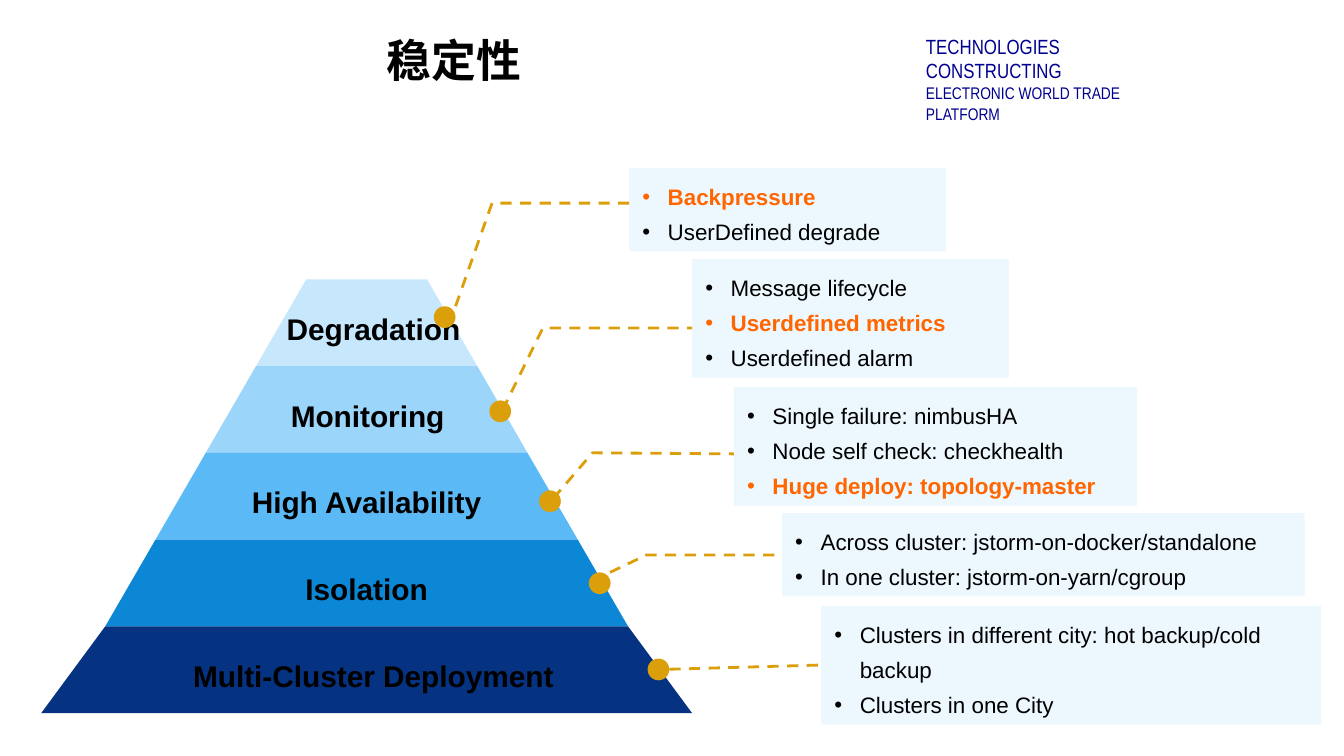
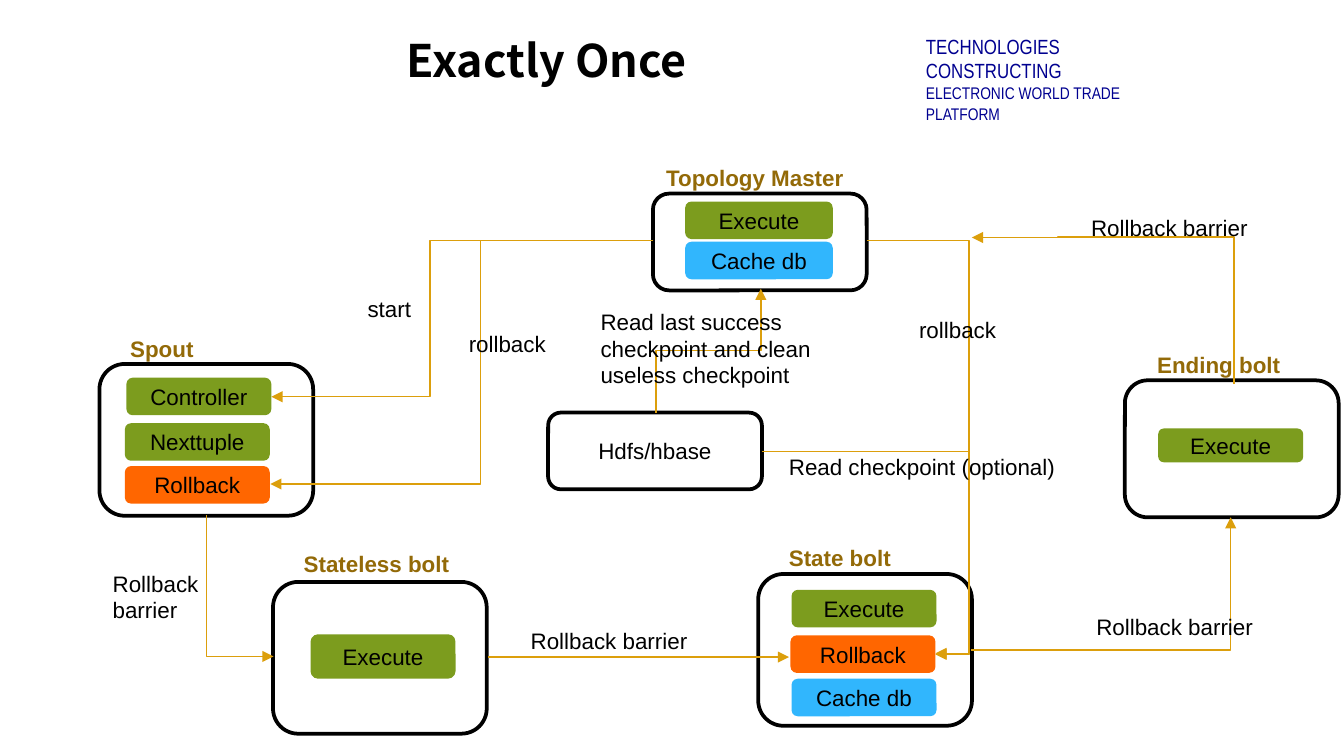
from dataclasses import dataclass

from lxml import etree
from pptx import Presentation
from pptx import util as u
from pptx.dml.color import RGBColor
from pptx.enum import dml, shapes, text
from pptx.oxml.ns import qn


@dataclass(frozen=True)
class Theme:
    black: str = "000000"
    white: str = "FFFFFF"
    navy: str = "000090"
    gold: str = "DC9F0C"
    brown: str = "936A08"
    orange: str = "FF6600"
    green: str = "7C9C1E"
    blue: str = "31B6FD"
    pale: str = "C6E7FC"
    layers: tuple = ("C6E7FC", "9BD5FA", "5BBAF6", "0B87D6", "053281")
    font: str = "Arial"
    header_font: str = "Arial Narrow"
    title_font: str = "Noto Sans CJK SC"
    title: int = 24
    layer: int = 16
    body: int = 12
    header: int = 11
    subheader: int = 9


th = Theme()
LEFT, CENTER, RIGHT = text.PP_ALIGN.LEFT, text.PP_ALIGN.CENTER, text.PP_ALIGN.RIGHT
TOP, MIDDLE = text.MSO_ANCHOR.TOP, text.MSO_ANCHOR.MIDDLE
RECT, ROUND, OVAL = (shapes.MSO_SHAPE.RECTANGLE, shapes.MSO_SHAPE.ROUNDED_RECTANGLE,
                     shapes.MSO_SHAPE.OVAL)


def add_box(s, kind, box, fill=None, opacity=100, line=None):
    box = [u.Cm(v) for v in box]
    if kind is None:
        return s.shapes.add_textbox(*box)
    sp = s.shapes.add_shape(kind, *box)
    sp.shadow.inherit = False
    sp.fill.solid()
    sp.fill.fore_color.rgb = RGBColor.from_string(fill)
    if opacity < 100:
        color = sp._element.spPr.find(qn("a:solidFill")).find(qn("a:srgbClr"))
        etree.SubElement(color, qn("a:alpha")).set("val", str(opacity * 1000))
    if line:
        sp.line.color.rgb = RGBColor.from_string(line)
        sp.line.width = u.Pt(2)
    else:
        sp.line.fill.background()
    return sp


def write(sp, words, size=th.body, color=th.black, bold=False, font=th.font,
          align=LEFT, anchor=TOP, bullet=False, inset=(0.25, 0.13)):
    tf = sp.text_frame
    tf.word_wrap = True
    tf.vertical_anchor = anchor
    tf.margin_left = tf.margin_right = u.Cm(inset[0])
    tf.margin_top = tf.margin_bottom = u.Cm(inset[1])
    p = tf.paragraphs[0]
    if p.runs:
        p = tf.add_paragraph()
    p.alignment = align
    if bullet:
        p.line_spacing = 1.3
        pPr = p._p.get_or_add_pPr()
        pPr.set("marL", str(u.Cm(0.48)))
        pPr.set("indent", str(-u.Cm(0.48)))
        etree.SubElement(pPr, qn("a:buFont")).set("typeface", th.font)
        etree.SubElement(pPr, qn("a:buChar")).set("char", "•")
    r = p.add_run()
    r.text = words
    r.font.name = font
    r.font.size = u.Pt(size)
    r.font.bold = bold
    r.font.color.rgb = RGBColor.from_string(color)
    etree.SubElement(r._r.get_or_add_rPr(), qn("a:ea")).set("typeface", font)


prs = Presentation()
prs.slide_width, prs.slide_height = u.Cm(25.4), u.Cm(14.29)

slides = []
for title, left, width in [("稳定性", 7.06, 6.91), ("Exactly Once", 7.44, 22.86)]:
    s = prs.slides.add_slide(prs.slide_layouts[6])
    sp = add_box(s, None, (17.25, 0.51, 5.16, 1.12))
    write(sp, "TECHNOLOGIES CONSTRUCTING", size=th.header, color=th.navy, font=th.header_font)
    write(sp, "ELECTRONIC WORLD TRADE PLATFORM", size=th.subheader, color=th.navy,
          font=th.header_font)
    sp = add_box(s, None, (left, 0.46, width, 1.32))
    write(sp, title, size=th.title, bold=True, font=th.title_font, anchor=MIDDLE)
    slides.append(s)
stability, once = slides

axis, apex, layer_h = 6.93, 5.28, 1.64
halves = [1.14 + 0.95 * i for i in range(5)]
bottoms = halves[1:] + [6.15]
layers = [
    ("Degradation", 7.06, 4.62),
    ("Monitoring", 6.95, 3.73),
    ("High Availability", axis, 4.88),
    ("Isolation", axis, 4.88),
    ("Multi-Cluster Deployment", 7.06, 8.69),
]
for i, (name, mid, width) in enumerate(layers):
    y = apex + layer_h * i
    outline = [(axis - halves[i], y), (axis + halves[i], y),
               (axis + bottoms[i], y + layer_h), (axis - bottoms[i], y + layer_h)]
    points = [(u.Cm(px), u.Cm(py)) for px, py in outline]
    builder = stability.shapes.build_freeform(*points[0])
    builder.add_line_segments(points[1:], close=True)
    sp = builder.convert_to_shape()
    sp.shadow.inherit = False
    sp.fill.solid()
    sp.fill.fore_color.rgb = RGBColor.from_string(th.layers[i])
    sp.line.fill.background()
    sp = add_box(stability, None, (mid - width / 2, y + 0.51, width, 0.86))
    write(sp, name, size=th.layer, bold=True, align=CENTER, inset=(0.18, 0.08))

callouts = [
    ((8.2, 5.79), [(8.61, 5.79), (9.3, 3.84), (11.89, 3.84)], (11.89, 3.18, 5.99, 1.57),
     ["Backpressure", "UserDefined degrade"], 0),
    ((9.25, 7.57), [(9.5, 7.75), (10.26, 6.2), (13.08, 6.2)], (13.08, 4.9, 5.99, 2.24),
     ["Message lifecycle", "Userdefined metrics", "Userdefined alarm"], 1),
    ((10.19, 9.27), [(10.46, 9.42), (11.2, 8.56), (13.87, 8.58)], (13.87, 7.32, 7.62, 2.24),
     ["Single failure: nimbusHA", "Node self check: checkhealth",
      "Huge deploy: topology-master"], 2),
    ((11.13, 10.82), [(11.53, 10.82), (12.22, 10.49), (14.78, 10.49)], (14.78, 9.7, 9.88, 1.57),
     ["Across cluster: jstorm-on-docker/standalone",
      "In one cluster: jstorm-on-yarn/cgroup"], None),
    ((12.24, 12.45), [(12.65, 12.65), (15.52, 12.57)], (15.52, 11.46, 9.45, 2.24),
     ["Clusters in different city: hot backup/cold backup", "Clusters in one City"], None),
]
for dot, leader, box, items, hot in callouts:
    add_box(stability, OVAL, (*dot, 0.41, 0.41), fill=th.gold)
    sp = add_box(stability, RECT, box, fill=th.pale, opacity=31)
    for i, item in enumerate(items):
        write(sp, item, bullet=True, bold=i == hot, color=th.orange if i == hot else th.black)
    points = [(u.Cm(px), u.Cm(py)) for px, py in leader]
    if len(points) == 2:
        sp = stability.shapes.add_connector(shapes.MSO_CONNECTOR.STRAIGHT, *points[0], *points[1])
        etree.SubElement(sp._element.spPr, qn("a:effectLst"))
    else:
        builder = stability.shapes.build_freeform(*points[0])
        builder.add_line_segments(points[1:], close=False)
        sp = builder.convert_to_shape()
        sp.shadow.inherit = False
        sp.fill.background()
    sp.line.color.rgb = RGBColor.from_string(th.gold)
    sp.line.width = u.Pt(1.5)
    sp.line.dash_style = dml.MSO_LINE.DASH

frames = [
    ("Spout", (1.88, 6.88, 4.04, 2.87), (2.21, 6.2, 2.74)),
    ("Stateless bolt", (5.16, 11, 4.04, 2.87), (5.49, 10.26, 3.71)),
    ("State bolt", (14.33, 10.85, 4.04, 2.87), (14.66, 10.16, 2.74)),
    ("Ending bolt", (21.26, 7.19, 4.04, 2.59), (21.62, 6.5, 3.38)),
    ("Topology Master", (12.34, 3.66, 4.04, 1.83), (12.34, 2.97, 4.22)),
    ("Hdfs/hbase", (10.36, 7.8, 4.04, 1.45), None),
]
for name, box, heading in frames:
    sp = add_box(once, ROUND, box, fill=th.white, opacity=55, line=th.black)
    if heading:
        sp = add_box(once, None, (*heading, 0.76))
        write(sp, name, color=th.brown, bold=True)
    else:
        write(sp, name, align=CENTER, anchor=MIDDLE)

chips = [
    ("Execute", th.green, 12.95, 3.81, 2.79, 0.71),
    ("Cache db", th.blue, 12.95, 4.57, 2.79, 0.71),
    ("Controller", th.green, 2.39, 7.14, 2.74, 0.71),
    ("Nexttuple", th.green, 2.36, 8, 2.74, 0.71),
    ("Rollback", th.orange, 2.36, 8.81, 2.74, 0.71),
    ("Execute", th.green, 5.87, 11.99, 2.74, 0.84),
    ("Execute", th.green, 14.96, 11.15, 2.74, 0.71),
    ("Rollback", th.orange, 14.94, 12.01, 2.74, 0.71),
    ("Cache db", th.blue, 14.96, 12.83, 2.74, 0.71),
    ("Execute", th.green, 21.89, 8.1, 2.74, 0.64),
]
for name, fill, *box in chips:
    sp = add_box(once, ROUND, box, fill=fill)
    write(sp, name, align=CENTER, anchor=MIDDLE)

arrows = [
    ("bentConnector3", (5.11, 4.55, 7.24, 4.6), 180, "V", [45100]),
    ("bentConnector3", (5.13, 4.55, 7.21, 2.95), 180, "V", [58400]),
    ("bentConnector2", (3.2, 10.44, 2.67, 1.27), 270, "H", []),
    ("line", (9.22, 12.42, 5.69, 0), 0, "", []),
    ("bentConnector2", (18.36, 9.78, 4.9, 2.51), 0, "V", []),
    ("bentConnector4", (19.46, 3.4, 2.77, 4.95), 90, "H", [100400, 67100]),
    ("bentConnector3", (12.22, 5.64, 2.34, 1.98), 90, "HV", [50000]),
    ("bentConnector3", (16.38, 4.55, 1.3, 7.8), 0, "", [148900]),
    ("bentConnector3", (14.4, 8.53, 3.28, 3.84), 0, "", [119400]),
]
for preset, (x, y, w, h), turn, flips, bends in arrows:
    sp = once.shapes.add_connector(shapes.MSO_CONNECTOR.ELBOW, u.Cm(x), u.Cm(y),
                                   u.Cm(x + w), u.Cm(y + h))
    spPr = sp._element.spPr
    xfrm, geom = spPr.find(qn("a:xfrm")), spPr.find(qn("a:prstGeom"))
    xfrm.set("rot", str(turn * 60000))
    for flip in flips:
        xfrm.set("flip" + flip, "1")
    geom.set("prst", preset)
    guides = geom.find(qn("a:avLst"))
    for i, bend in enumerate(bends, 1):
        guide = etree.SubElement(guides, qn("a:gd"))
        guide.set("name", f"adj{i}")
        guide.set("fmla", f"val {bend}")
    sp.line.color.rgb = RGBColor.from_string(th.gold)
    sp.line.width = u.Pt(0.75)
    etree.SubElement(spPr.find(qn("a:ln")), qn("a:tailEnd")).set("type", "triangle")
    etree.SubElement(spPr, qn("a:effectLst"))

labels = [
    ("start", (6.17, 5.44, 1.85, 0.76), RIGHT),
    ("rollback", (8.61, 6.12, 2.36, 0.76), LEFT),
    ("rollback", (17.12, 5.84, 2.36, 0.76), LEFT),
    ("Rollback barrier", (1.88, 10.64, 2.46, 1.27), LEFT),
    ("Rollback barrier", (9.78, 11.73, 5.03, 0.76), LEFT),
    ("Rollback barrier", (20.47, 11.46, 3.84, 0.76), LEFT),
    ("Rollback barrier", (20.37, 3.91, 3.96, 0.76), LEFT),
    ("Read last success checkpoint and clean useless checkpoint", (11.1, 5.69, 4.78, 1.8), LEFT),
    ("Read checkpoint (optional)", (14.66, 8.43, 6.05, 0.76), LEFT),
]
for words, box, align in labels:
    write(add_box(once, None, box), words, align=align)

prs.save("out.pptx")
